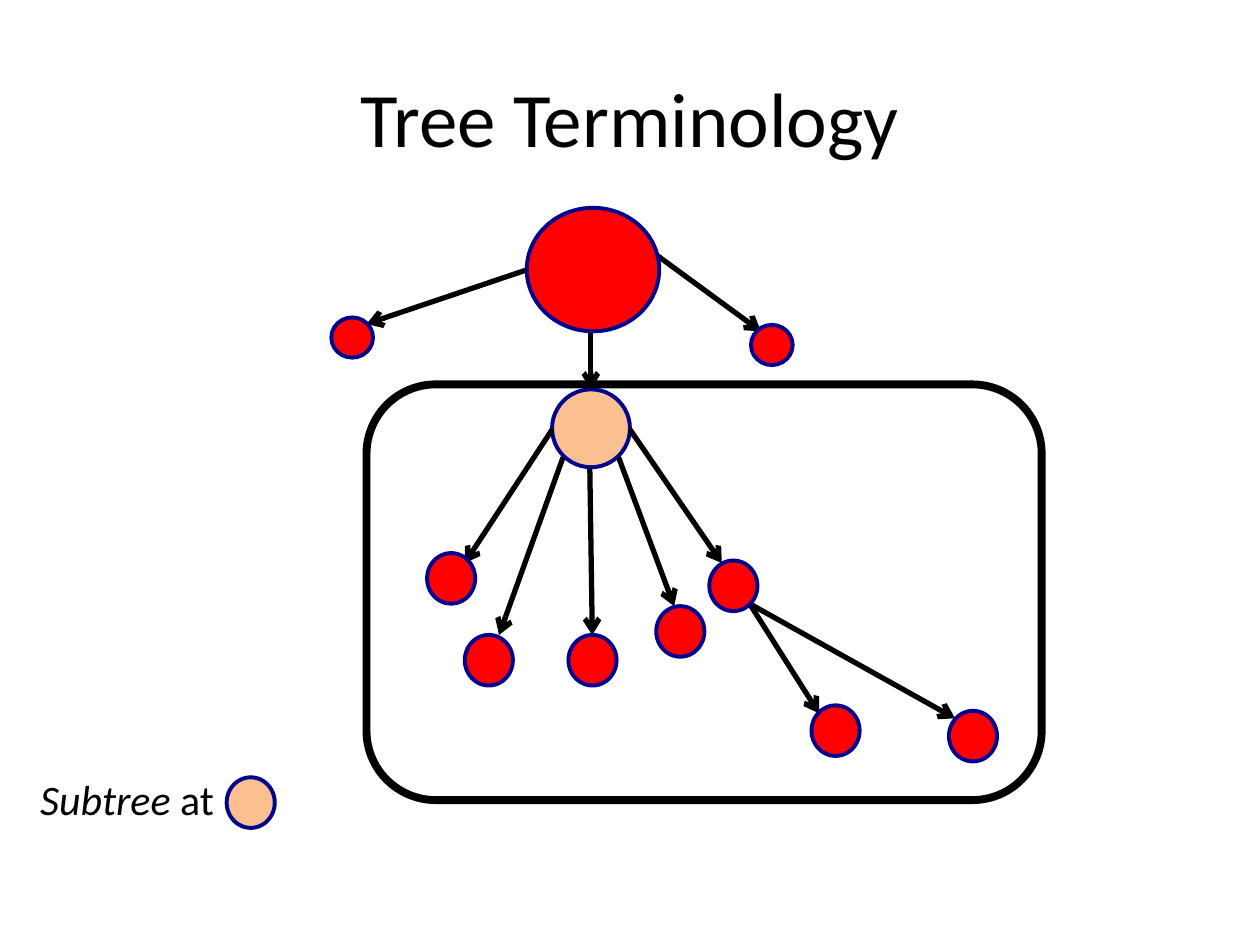
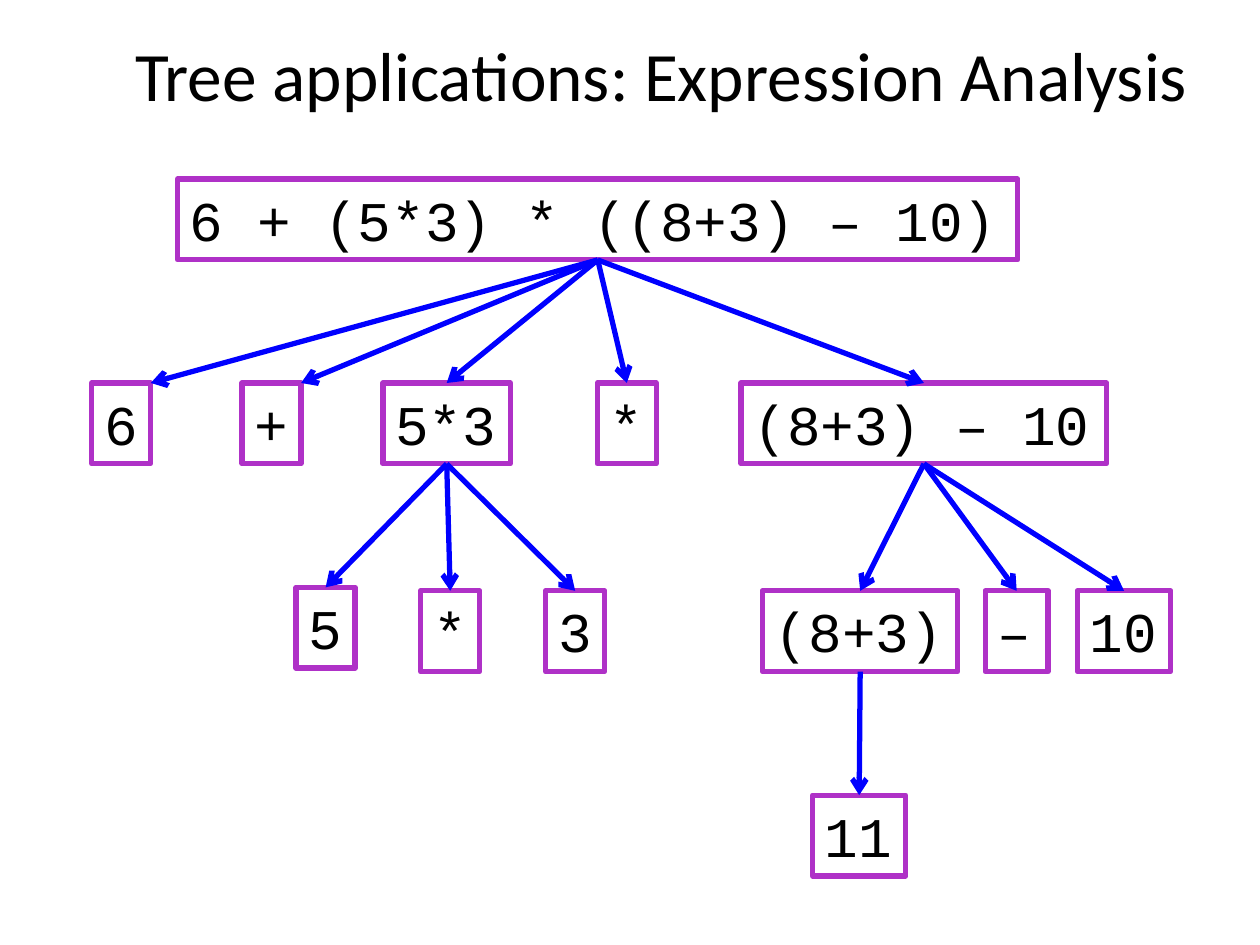
from lxml import etree
from pptx import Presentation
from pptx.dml.color import RGBColor
from pptx.enum.shapes import MSO_CONNECTOR, MSO_SHAPE
from pptx.enum.text import MSO_ANCHOR, MSO_AUTO_SIZE, PP_ALIGN
from pptx.oxml.ns import qn
from pptx.util import Cm, Pt

STRAIGHT = MSO_CONNECTOR.STRAIGHT
OVAL = MSO_SHAPE.OVAL
RECTANGLE = MSO_SHAPE.RECTANGLE
ROUNDED = MSO_SHAPE.ROUNDED_RECTANGLE
TOP, MIDDLE = MSO_ANCHOR.TOP, MSO_ANCHOR.MIDDLE
LEFT, CENTER = PP_ALIGN.LEFT, PP_ALIGN.CENTER
NO_FIT, GROW = MSO_AUTO_SIZE.NONE, MSO_AUTO_SIZE.SHAPE_TO_FIT_TEXT

COLOURS = {
    "text": "000000",
    "node": "FF0000",
    "subtree": "FAC090",
    "node line": "000090",
    "box line": "AF31C7",
    "expression arrow": "0000FF",
}
TITLE_ONLY = 5
SIDE_TOP, SIDE_BOTTOM = 0, 2

# Sizes in centimetres
ROOT_SIZE = (2.67, 2.49)
SUBTREE_SIZE = (1.57, 1.57)
LEAF_SIZE = (0.84, 0.81)
NODE_SIZE = (0.97, 1.02)
BOX_HEIGHT = 1.63
ROW_TOPS = (3.61, 7.72, 11.91, 16.03)


def colour(name):
    return RGBColor.from_string(COLOURS[name])


def add_text(paragraph, text, font="Calibri", size=24, italic=False, align=LEFT):
    paragraph.alignment = align
    run = paragraph.add_run()
    run.text = text
    run.font.name = font
    run.font.size = Pt(size)
    run.font.italic = italic
    run.font.color.rgb = colour("text")


def add_titled_slide(presentation, text, size, place):
    slide = presentation.slides.add_slide(presentation.slide_layouts[TITLE_ONLY])
    title = slide.shapes.title
    title.left, title.top, title.width, title.height = map(Cm, place)
    frame = title.text_frame
    frame.auto_size = NO_FIT
    frame.vertical_anchor = MIDDLE
    add_text(frame.paragraphs[0], text, size=size, align=CENTER)
    return slide


def add_outline(slide, kind, position, size, line, width, fill=None):
    shape = slide.shapes.add_shape(kind, *map(Cm, (*position, *size)))
    shape.shadow.inherit = False
    if fill:
        shape.fill.solid()
        shape.fill.fore_color.rgb = colour(fill)
    else:
        shape.fill.background()
    shape.line.color.rgb = colour(line)
    shape.line.width = Pt(width)
    return shape


def add_node(slide, position, size=NODE_SIZE, fill="node"):
    add_outline(slide, OVAL, position, size, "node line", 2.25, fill)


def add_arrow(slide, start, end, line="text"):
    """Draw an arrow between two points given in EMU."""
    connector = slide.shapes.add_connector(STRAIGHT, *start, *end)
    connector.line.color.rgb = colour(line)
    connector.line.width = Pt(3)
    properties = connector._element.spPr
    etree.SubElement(properties.find(qn("a:ln")), qn("a:tailEnd"), type="arrow")
    etree.SubElement(properties, qn("a:effectLst"))
    return connector


def add_expression_box(slide, text, left, top, width):
    box = add_outline(slide, RECTANGLE, (left, top), (width, BOX_HEIGHT), "box line", 3)
    frame = box.text_frame
    frame.word_wrap = False
    frame.auto_size = GROW
    frame.vertical_anchor = TOP
    add_text(frame.paragraphs[0], text, font="Courier New", size=32)
    return box


def join_boxes(slide, parent, child, to_corner=False):
    """Link a parent's bottom to a child's top middle or top right corner."""
    start = (parent.left + parent.width // 2, parent.top + parent.height)
    end = (child.left + child.width, child.top)
    connector = add_arrow(slide, start, end, "expression arrow")
    connector.begin_connect(parent, SIDE_BOTTOM)
    if not to_corner:
        connector.end_connect(child, SIDE_TOP)


def build_terminology(presentation):
    slide = add_titled_slide(presentation, "Tree Terminology", 44,
                             (1.27, 0.76, 22.86, 3.18))
    add_node(slide, (11.13, 7.85), SUBTREE_SIZE, "subtree")

    # Arrows from parents to children
    arrows = [
        # root
        ((10.62, 5.44), (7.39, 6.53)),
        ((11.91, 6.68), (11.91, 7.85)),
        ((13.26, 5.16), (15.34, 6.68)),
        # subtree root
        ((11.13, 8.66), (9.37, 11.35)),
        ((11.35, 9.22), (10.06, 12.8)),
        ((11.89, 9.45), (11.94, 12.8)),
        ((12.47, 9.22), (13.59, 12.22)),
        ((12.7, 8.66), (14.55, 11.35)),
        # right child of the subtree
        ((15.11, 12.17), (16.51, 14.38)),
        ((15.11, 12.17), (19.25, 14.48)),
    ]
    for start, end in arrows:
        add_arrow(slide, map(Cm, start), map(Cm, end))

    # Nodes
    add_node(slide, (10.62, 4.19), ROOT_SIZE)
    for position in [(6.68, 6.4), (15.14, 6.55)]:
        add_node(slide, position, LEAF_SIZE)
    for position in [(8.61, 11.15), (9.37, 12.8), (11.46, 12.8), (13.23, 12.22),
                     (14.3, 11.3), (16.36, 14.22), (19.13, 14.33)]:
        add_node(slide, position)

    # Legend
    legend = slide.shapes.add_textbox(*map(Cm, (0.56, 15.47, 15.57, 1.27)))
    legend.text_frame.word_wrap = True
    legend.text_frame.auto_size = GROW
    paragraph = legend.text_frame.paragraphs[0]
    add_text(paragraph, "Subtree", italic=True)
    add_text(paragraph, " at")
    add_node(slide, (4.57, 15.67), fill="subtree")

    # Frame around the subtree
    add_outline(slide, ROUNDED, (7.39, 7.75), (13.61, 8.38), "text", 4.5)


def build_expression(presentation):
    slide = add_titled_slide(presentation, "Tree applications: Expression Analysis",
                             39.6, (1.27, 0.64, 24.13, 1.68))
    first, second, third, fourth = ROW_TOPS

    # Boxes: name, text, left, top, width
    boxes = {
        name: add_expression_box(slide, text, left, top, width)
        for name, text, left, top, width in [
            ("expression", "6 + (5*3) * ((8+3) – 10)", 3.58, first, 16.94),
            ("six", "6", 1.85, second, 1.19),
            ("plus", "+", 4.88, second, 1.19),
            ("product", "5*3", 7.72, second, 2.57),
            ("times", "*", 12.04, second, 1.19),
            ("difference", "(8+3) – 10", 14.94, second, 7.37),
            ("five", "5", 5.97, third - 0.07, 1.19),
            ("inner times", "*", 8.48, third, 1.19),
            ("three", "3", 11, third, 1.19),
            ("sum", "(8+3)", 15.37, third, 3.94),
            ("minus", "–", 19.86, third, 1.27),
            ("ten", "10", 21.72, third, 1.88),
            ("eleven", "11", 16.38, fourth, 1.88),
        ]
    }

    # Arrows
    children = {
        "expression": ["six", "plus", "product", "times", "difference"],
        "product": ["five", "inner times", "three"],
        "difference": ["sum", "minus", "ten"],
        "sum": ["eleven"],
    }
    for parent, names in children.items():
        for name in names:
            join_boxes(slide, boxes[parent], boxes[name],
                       to_corner=name in ("six", "plus"))


def main():
    presentation = Presentation()
    presentation.slide_width = Cm(25.4)
    presentation.slide_height = Cm(19.05)
    build_terminology(presentation)
    build_expression(presentation)
    presentation.save("out.pptx")


if __name__ == "__main__":
    main()
